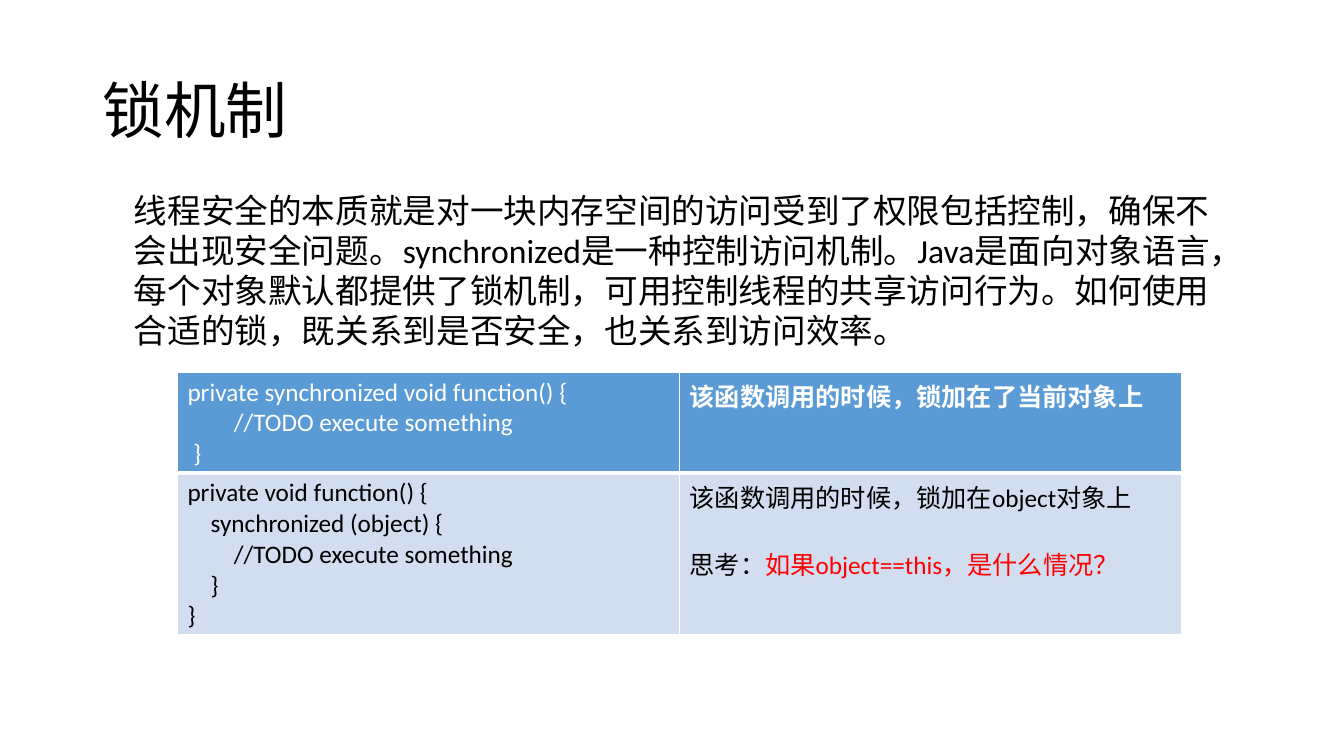
from lxml.etree import SubElement
from pptx import Presentation
from pptx.dml.color import RGBColor
from pptx.enum.text import MSO_ANCHOR, MSO_AUTO_SIZE
from pptx.oxml.ns import qn
from pptx.util import Inches, Pt

FONT = "Calibri"
COLORS = {
    "text": "000000",
    "white": "FFFFFF",
    "header": "5B9BD5",
    "band": "D2DEEF",
    "accent": "FF0000",
}
INDENT = 0.23
BODY = (
    "线程安全的本质就是对一块内存空间的访问受到了权限包括控制，确保不会出现安全问题。"
    "synchronized是一种控制访问机制。Java是面向对象语言，每个对象默认都提供了锁机制，"
    "可用控制线程的共享访问行为。如何使用合适的锁，既关系到是否安全，也关系到访问效率。"
)
METHOD_LOCK = [
    ("private synchronized void function() {", 0),
    ("//TODO execute something", 2),
    ("}", 0.25),
]
OBJECT_LOCK = [
    ("private void function() {", 0),
    ("synchronized (object) {", 1),
    ("//TODO execute something", 2),
    ("}", 1),
    ("}", 0),
]


def rgb(name):
    return RGBColor.from_string(COLORS[name])


def add_run(p, text, size=18, color="text", bold=False):
    r = p.add_run()
    r.text = text
    r.font.name = FONT
    r.font.size = Pt(size)
    r.font.bold = bold
    r.font.color.rgb = rgb(color)


def add_text_box(slide, box, text, line_spacing=1.0, anchor=MSO_ANCHOR.TOP,
                 auto_size=MSO_AUTO_SIZE.NONE, **fmt):
    tf = slide.shapes.add_textbox(*map(Inches, box)).text_frame
    tf.word_wrap = True
    tf.auto_size = auto_size
    tf.vertical_anchor = anchor
    p = tf.paragraphs[0]
    p.line_spacing = line_spacing
    add_run(p, text, **fmt)


def style_cell(cell, fill, top, bottom):
    tcPr = cell._tc.get_or_add_tcPr()
    for side, width in (("L", 1), ("R", 1), ("T", top), ("B", bottom)):
        ln = SubElement(tcPr, qn(f"a:ln{side}"), w=str(Pt(width)))
        SubElement(SubElement(ln, qn("a:solidFill")), qn("a:srgbClr"), val=COLORS["white"])
    cell.fill.solid()
    cell.fill.fore_color.rgb = rgb(fill)


def fill_code(cell, lines, color):
    tf = cell.text_frame
    for i, (text, level) in enumerate(lines):
        p = tf.add_paragraph() if i else tf.paragraphs[0]
        if level:
            pPr = p._p.get_or_add_pPr()
            pPr.set("marL", str(Inches(INDENT * level)))
            pPr.set("indent", "0")
        add_run(p, text, color=color)


def add_lock_table(slide):
    box = map(Inches, (1.76, 3.69, 9.96, 2.6))
    table = slide.shapes.add_table(2, 2, *box).table
    for row, height in zip(table.rows, (1.0, 1.6)):
        row.height = Inches(height)
    for col in range(2):
        style_cell(table.cell(0, col), "header", 1, 3)
        style_cell(table.cell(1, col), "band", 3, 1)

    fill_code(table.cell(0, 0), METHOD_LOCK, "white")
    fill_code(table.cell(1, 0), OBJECT_LOCK, "text")
    add_run(table.cell(0, 1).text_frame.paragraphs[0],
            "该函数调用的时候，锁加在了当前对象上", color="white", bold=True)

    tf = table.cell(1, 1).text_frame
    add_run(tf.paragraphs[0], "该函数调用的时候，锁加在object对象上")
    p = tf.add_paragraph()
    p.space_before = Pt(22)
    add_run(p, "思考：")
    add_run(p, "如果object==this，是什么情况？", color="accent")


def main():
    prs = Presentation()
    prs.slide_width, prs.slide_height = Inches(13.33), Inches(7.5)
    slide = prs.slides.add_slide(prs.slide_layouts[6])
    add_text_box(slide, (0.92, 0.4, 11.5, 1.45), "锁机制", size=44,
                 line_spacing=0.9, anchor=MSO_ANCHOR.MIDDLE)
    add_text_box(slide, (1.23, 1.83, 11.02, 1.72), BODY, size=24,
                 auto_size=MSO_AUTO_SIZE.SHAPE_TO_FIT_TEXT)
    add_lock_table(slide)
    prs.save("out.pptx")


if __name__ == "__main__":
    main()
